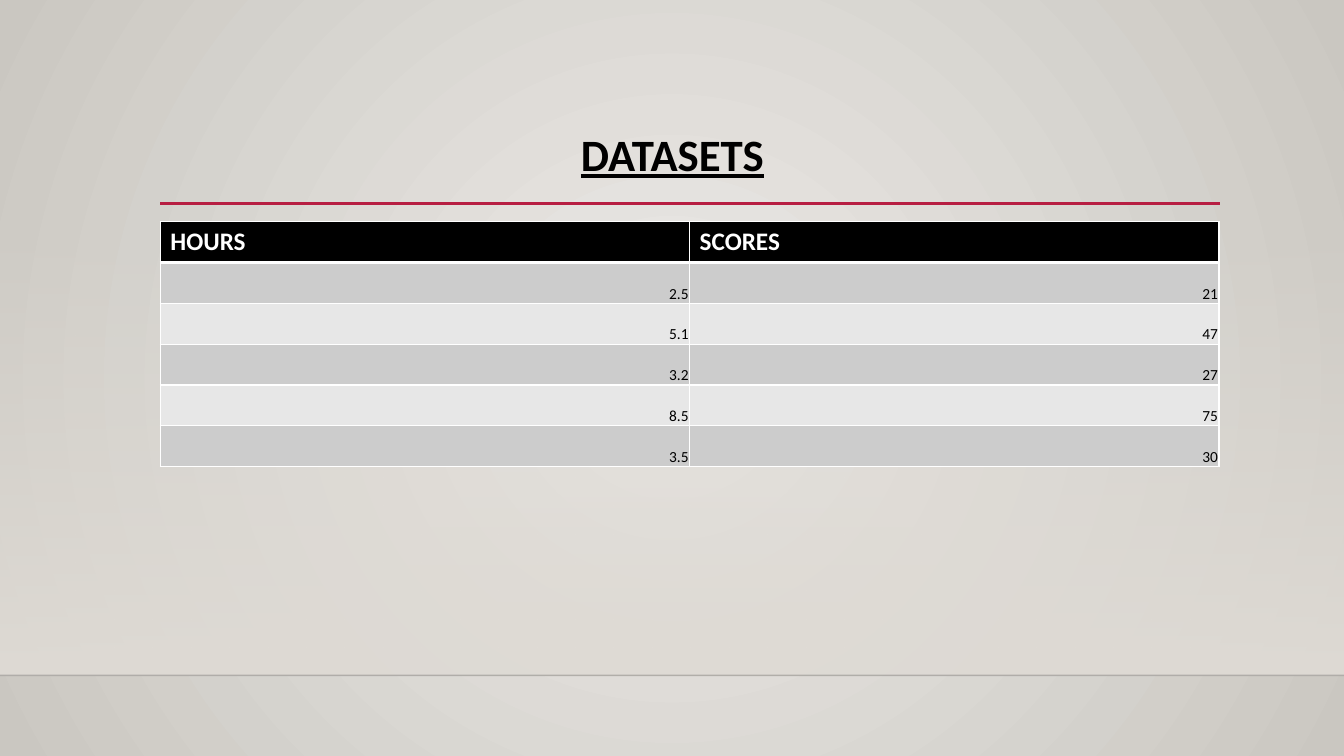
from lxml import etree
from pptx import Presentation
from pptx.dml.color import RGBColor
from pptx.enum.shapes import MSO_CONNECTOR, MSO_SHAPE
from pptx.enum.text import MSO_ANCHOR, PP_ALIGN
from pptx.oxml.ns import qn
from pptx.util import Inches, Pt

STRAIGHT = MSO_CONNECTOR.STRAIGHT
RECT = MSO_SHAPE.RECTANGLE
TOP, BOTTOM = MSO_ANCHOR.TOP, MSO_ANCHOR.BOTTOM
LEFT, CENTER, RIGHT = PP_ALIGN.LEFT, PP_ALIGN.CENTER, PP_ALIGN.RIGHT

BLACK = RGBColor(0x00, 0x00, 0x00)
WHITE = RGBColor(0xFF, 0xFF, 0xFF)
RED = RGBColor(0xB7, 0x1E, 0x42)
EDGE = RGBColor(0x00, 0x00, 0x01)
PALE = RGBColor(0xEC, 0xEA, 0xE7)
STONE = RGBColor(0xCA, 0xC7, 0xC1)
SAND = RGBColor(0xDF, 0xDB, 0xD5)
BANDS = RGBColor(0xCC, 0xCC, 0xCC), RGBColor(0xE7, 0xE7, 0xE7)

WIDTH, HEIGHT = 13.33, 7.5
FLOOR = 6.7
ROWS = [
    ("HOURS", "SCORES"),
    ("2.5", "21"),
    ("5.1", "47"),
    ("3.2", "27"),
    ("8.5", "75"),
    ("3.5", "30"),
]


def add_node(parent, tag, **attrs):
    return etree.SubElement(parent, qn(tag), attrs)


def set_alpha(color, percent):
    add_node(color, "a:alpha", val=str(percent * 1000))


class Painter:
    font = "Calibri"

    def __init__(self, slide):
        self.slide = slide

    def blend(self, fill, first, last):
        fill.gradient()
        for stop, color in zip(fill.gradient_stops, (first, last)):
            stop.color.rgb = color

    def backdrop(self, inner, outer):
        self.blend(self.slide.background.fill, inner, outer)
        grad = self.slide.element.find(".//" + qn("a:gradFill"))
        grad.remove(grad.find(qn("a:lin")))
        circle = add_node(grad, "a:path", path="circle")
        add_node(circle, "a:fillToRect", l="50000", t="50000", r="50000", b="50000")

    def fade(self, left, top, width, height, color):
        """Add a band that goes from clear at its top to solid at its foot."""
        band = self.slide.shapes.add_shape(
            RECT, Inches(left), Inches(top), Inches(width), Inches(height))
        band.shadow.inherit = False
        band.line.fill.background()
        self.blend(band.fill, color, color)
        band.fill.gradient_angle = 270
        set_alpha(band.element.find(".//" + qn("a:srgbClr")), 0)

    def rule(self, left, right, y, color, weight, alpha=100):
        line = self.slide.shapes.add_connector(
            STRAIGHT, Inches(left), Inches(y), Inches(right), Inches(y))
        line.line.color.rgb = color
        line.line.width = Pt(weight)
        props = line.element.spPr
        if alpha < 100:
            set_alpha(props.find(".//" + qn("a:srgbClr")), alpha)
        add_node(props, "a:effectLst")

    def style(self, para, size, color, bold, align):
        para.alignment = align
        font = para.font
        font.name, font.size, font.bold = self.font, Pt(size), bold
        font.color.rgb = color

    def title(self, left, top, width, height, text):
        box = self.slide.shapes.add_textbox(
            Inches(left), Inches(top), Inches(width), Inches(height))
        frame = box.text_frame
        frame.word_wrap = True
        frame.vertical_anchor = TOP
        para = frame.paragraphs[0]
        para.text = text
        para.line_spacing = 0.9
        self.style(para, 32, BLACK, True, CENTER)
        para.font.underline = True

    def border(self, cell, row):
        weights = {"L": 1, "R": 1, "T": 3 if row == 1 else 1, "B": 3 if row == 0 else 1}
        props = cell._tc.get_or_add_tcPr()
        for side, weight in weights.items():
            line = add_node(props, "a:ln" + side, w=str(Pt(weight)))
            fill = add_node(line, "a:solidFill")
            add_node(fill, "a:srgbClr", val=str(WHITE))

    def table(self, left, top, width, height, rows):
        grid = self.slide.shapes.add_table(
            len(rows), len(rows[0]), Inches(left), Inches(top),
            Inches(width), Inches(height)).table
        for r, row in enumerate(rows):
            for c, text in enumerate(row):
                cell = grid.cell(r, c)
                cell.text = text
                self.border(cell, r)
                cell.fill.solid()
                para = cell.text_frame.paragraphs[0]
                if r == 0:
                    cell.fill.fore_color.rgb = BLACK
                    self.style(para, 18, WHITE, True, LEFT)
                    continue
                cell.fill.fore_color.rgb = BANDS[(r - 1) % 2]
                cell.vertical_anchor = BOTTOM
                cell.margin_left = cell.margin_right = cell.margin_top = Inches(0.01)
                cell.margin_bottom = 0
                self.style(para, 11, BLACK, False, RIGHT)


def main():
    deck = Presentation()
    deck.slide_width, deck.slide_height = Inches(WIDTH), Inches(HEIGHT)
    paint = Painter(deck.slides.add_slide(deck.slide_layouts[6]))
    paint.backdrop(PALE, STONE)
    paint.fade(0, 2.21, WIDTH, FLOOR - 2.21, SAND)
    paint.rule(0, WIDTH, FLOOR, EDGE, 1, alpha=20)
    paint.rule(1.59, 12.1, 2.02, RED, 2.5)
    paint.title(1.42, 1.27, 10.5, 1.15, "DATASETS")
    paint.table(1.59, 2.2, 10.5, 2.43, ROWS)
    deck.save("out.pptx")


if __name__ == "__main__":
    main()
